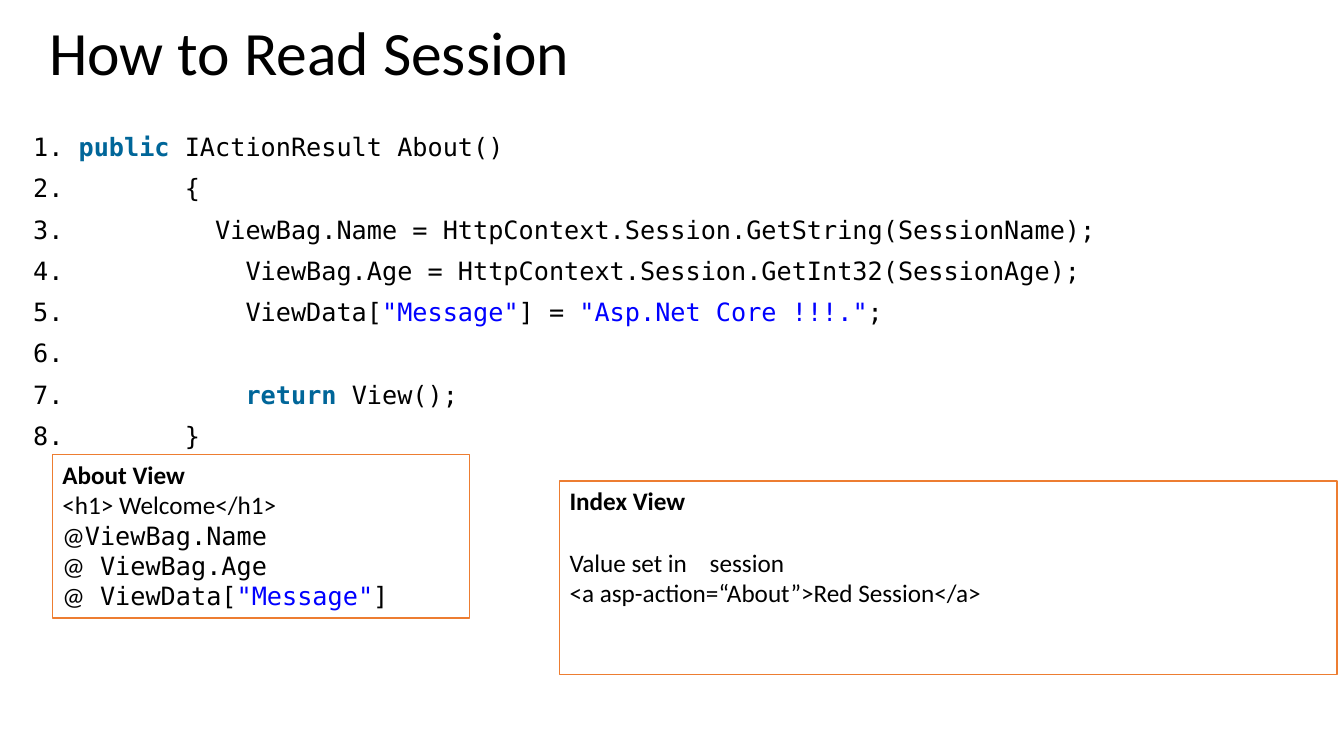
from dataclasses import dataclass

from lxml.etree import SubElement
from pptx import Presentation
from pptx.dml.color import RGBColor
from pptx.enum.shapes import MSO_SHAPE
from pptx.enum.text import MSO_ANCHOR, PP_ALIGN
from pptx.oxml.ns import qn
from pptx.util import Inches, Pt


@dataclass(frozen=True)
class Theme:
    sans: str = "Calibri"
    mono: str = "DejaVu Sans Mono"
    title_size: int = 44
    text_size: int = 18
    text: str = "000000"
    keyword: str = "006699"
    string: str = "0000FF"
    border: str = "ED7D31"
    paper: str = "FFFFFF"


THEME = Theme()
TITLE = {"name": THEME.sans, "size": Pt(THEME.title_size)}
PLAIN = {"name": THEME.sans, "size": Pt(THEME.text_size)}
HEAD = {**PLAIN, "bold": True}
CODE = {**PLAIN, "name": THEME.mono}
KEYWORD = {**CODE, "bold": True, "color": THEME.keyword}
STRING = {**CODE, "color": THEME.string}

ABOUT_ACTION = [
    [(" ", CODE), ("public ", KEYWORD), ("IActionResult About()", CODE)],
    [("        {", CODE)],
    [("          ViewBag.Name = HttpContext.Session.GetString(SessionName);", CODE)],
    [("            ViewBag.Age = HttpContext.Session.GetInt32(SessionAge);", CODE)],
    [("            ViewData[", CODE), ('"Message"', STRING), ("] = ", CODE),
     ('"Asp.Net Core !!!."', STRING), (";", CODE)],
    [(" ", CODE)],
    [("            ", CODE), ("return", KEYWORD), (" View();", CODE)],
    [("        }", CODE)],
]
INDEX_VIEW = [
    [("Index View", HEAD)],
    [("Value set in\tsession", PLAIN)],
    [("<a asp-action=“About”>Red Session</a>", PLAIN)],
]
ABOUT_VIEW = [
    [("About View", HEAD)],
    [("<h1> Welcome</h1>", PLAIN)],
    [("@", PLAIN), ("ViewBag.Name", CODE)],
    [("@", PLAIN), (" ViewBag.Age", CODE)],
    [("@", PLAIN), (" ViewData[", CODE), ('"Message"', STRING), ("]", CODE)],
]


def add_runs(p, runs):
    for text, style in runs:
        r = p.add_run()
        r.text = text
        for key, value in style.items():
            if key != "color":
                setattr(r.font, key, value)
        r.font.color.rgb = RGBColor.from_string(style.get("color", THEME.text))


def add_number(p):
    pPr = p._p.get_or_add_pPr()
    pPr.set("marL", str(Inches(0.25)))
    pPr.set("indent", str(Inches(-0.25)))
    SubElement(pPr, qn("a:buFont"), typeface="+mj-lt")
    SubElement(pPr, qn("a:buAutoNum"), type="arabicPeriod")


def add_tab(p, position):
    tabs = SubElement(p._p.get_or_add_pPr(), qn("a:tabLst"))
    SubElement(tabs, qn("a:tab"), pos=str(position), algn="l")


def fill_text(tf, lines, anchor=MSO_ANCHOR.TOP, numbered=False, **spacing):
    tf.word_wrap = True
    tf.vertical_anchor = anchor
    for i, runs in enumerate(lines):
        p = tf.add_paragraph() if i else tf.paragraphs[0]
        if numbered:
            add_number(p)
        p.alignment = PP_ALIGN.LEFT
        for key, value in spacing.items():
            if i or key != "space_before":
                setattr(p, key, value)
        add_runs(p, runs)
    return tf.paragraphs


def add_text(s, box, lines, **options):
    sp = s.shapes.add_textbox(*map(Inches, box))
    return fill_text(sp.text_frame, lines, **options)


def add_view_box(s, box, lines):
    sp = s.shapes.add_shape(MSO_SHAPE.RECTANGLE, *map(Inches, box))
    sp.shadow.inherit = False
    sp.fill.solid()
    sp.fill.fore_color.rgb = RGBColor.from_string(THEME.paper)
    sp.line.color.rgb = RGBColor.from_string(THEME.border)
    sp.line.width = Pt(1)
    return fill_text(sp.text_frame, lines)


def main():
    prs = Presentation()
    prs.slide_width, prs.slide_height = Inches(13.33), Inches(7.5)
    s = prs.slides.add_slide(prs.slide_layouts[6])
    add_text(s, (0.39, 0.11, 10.48, 0.89), [[("How to Read Session", TITLE)]],
             anchor=MSO_ANCHOR.MIDDLE, line_spacing=0.9)
    add_text(s, (0.23, 1.29, 12.15, 4.76), ABOUT_ACTION, numbered=True,
             line_spacing=0.9, space_before=Pt(10))
    session_line = add_view_box(s, (5.55, 4.77, 7.71, 1.92), INDEX_VIEW)[1]
    session_line.space_before = Pt(22)
    add_tab(session_line, Inches(1.39))
    add_view_box(s, (0.52, 4.51, 4.14, 1.62), ABOUT_VIEW)
    prs.save("out.pptx")


if __name__ == "__main__":
    main()
